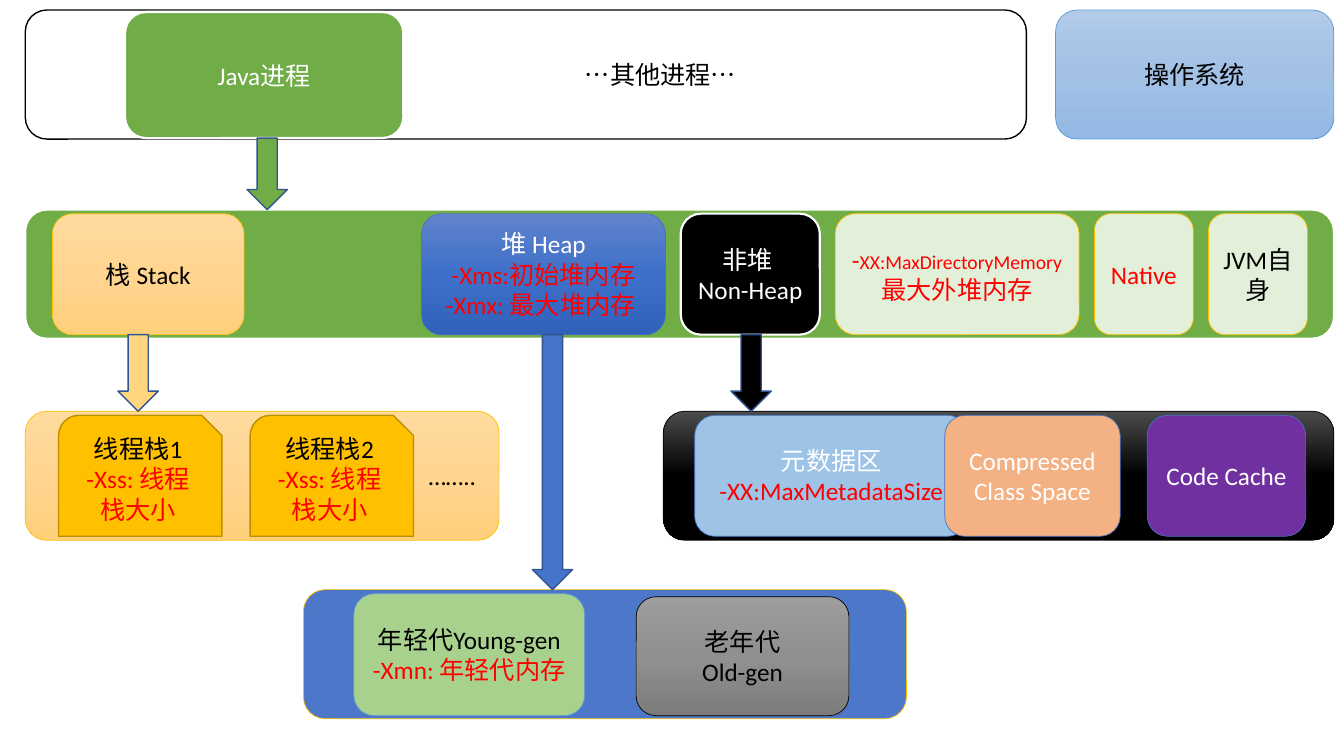
from copy import deepcopy
from dataclasses import dataclass

from pptx import Presentation
from pptx.dml.color import RGBColor
from pptx.enum.lang import MSO_LANGUAGE_ID
from pptx.enum.shapes import MSO_SHAPE
from pptx.enum.text import MSO_ANCHOR, PP_ALIGN
from pptx.oxml.ns import qn
from pptx.util import Inches, Pt

ROUNDED = MSO_SHAPE.ROUNDED_RECTANGLE
SNIPPED = MSO_SHAPE.SNIP_ROUND_RECTANGLE
DOWN_ARROW = MSO_SHAPE.DOWN_ARROW
CENTER = PP_ALIGN.CENTER
MIDDLE = MSO_ANCHOR.MIDDLE
CHINESE = MSO_LANGUAGE_ID.SIMPLIFIED_CHINESE


class Theme:
    font = "Calibri"
    body, small = 18, 14
    hairline, thin, medium = 0.5, 1, 1.5
    black, white, red = "000000", "FFFFFF", "FF0000"
    green, pale_green, young_green = "70AD47", "E2F0D9", "A9D18E"
    amber, dark_amber = "FFC000", "BD8E00"
    blue, sky, light_blue = "4472C4", "5B9BD5", "9DC3E6"
    heap_area, heap_arrow, arrow_edge = "4D78CA", "4674CA", "325491"
    stack_arrow, peach, purple = "FFD580", "F4B183", "7030A0"
    # Three stops run from top to bottom.
    system_shade = ("B1CBE9", "A3C1E5", "93B9E4")
    stack_shade = ("FFDB9E", "FFD590", "FFD07C")
    heap_shade = ("6183CB", "3E70CA", "3062BB")
    old_shade = ("9D9D9D", "909090", "7C7C7C")
    metaspace_shade = ("4B4B4B", "000000", "000000")


@dataclass
class Box:
    """A rectangle in inches."""
    left: float
    top: float
    width: float
    height: float

    @property
    def bottom(self):
        return self.top + self.height

    def inner(self, left, width, top=3.13, height=93.75):
        """Return an inner box given in percent of this one."""
        return Box(self.left + self.width * left / 100,
                   self.top + self.height * top / 100,
                   self.width * width / 100, self.height * height / 100)


SLIDE = Box(0, 0, 13.33, 7.5)
BAND_HEIGHT = 17.07
ARROW_WIDTH = 3


def band(left, width, top):
    return SLIDE.inner(left, width, top, BAND_HEIGHT)


def paint(shape, fill):
    """Fill with one colour, with three shades, or not at all."""
    if fill is None:
        shape.fill.background()
    elif isinstance(fill, str):
        shape.fill.solid()
        shape.fill.fore_color.rgb = RGBColor.from_string(fill)
    else:
        shape.fill.gradient()
        shape.fill.gradient_angle = 270
        stop_list = shape._element.spPr.find(qn("a:gradFill")).find(qn("a:gsLst"))
        stop_list.insert(1, deepcopy(stop_list[0]))
        for index, (stop, shade) in enumerate(zip(shape.fill.gradient_stops, fill)):
            stop.position = index / 2
            stop.color.rgb = RGBColor.from_string(shade)


def block(slide, box, fill, edge, weight=Theme.hairline, outline=ROUNDED):
    shape = slide.shapes.add_shape(outline, Inches(box.left), Inches(box.top),
                                   Inches(box.width), Inches(box.height))
    shape.shadow.inherit = False
    paint(shape, fill)
    shape.line.color.rgb = RGBColor.from_string(edge)
    shape.line.width = Pt(weight)
    return shape


def write(shape, text, color=Theme.black, size=Theme.body, same_line=False, indent=0):
    """Add a line, or a run on the last line; indent is percent of the slide width."""
    frame = shape.text_frame
    frame.word_wrap = True
    frame.vertical_anchor = MIDDLE
    if indent:
        frame.margin_left = Inches(SLIDE.width * indent / 100)
    line = frame.paragraphs[-1]
    if line.runs and not same_line:
        line = frame.add_paragraph()
    line.alignment = CENTER
    run = line.add_run()
    run.text = text
    run.font.name = Theme.font
    run.font.size = Pt(size)
    run.font.language_id = CHINESE
    run.font.color.rgb = RGBColor.from_string(color)


def system_row(slide, processes, system):
    """Draw the operating system row and return the box of the Java process."""
    others = block(slide, processes, None, Theme.black, Theme.thin)
    write(others, "…其他进程…", indent=20.78)
    write(block(slide, system, Theme.system_shade, Theme.sky), "操作系统")
    java_box = processes.inner(9.97, 27.79, 1.56, 97.66)
    java = block(slide, java_box, Theme.green, Theme.white, Theme.medium)
    write(java, "Java进程", Theme.white)
    return java_box


def process_memory(slide, area):
    """Draw the memory of the Java process and return the box of its stack."""
    block(slide, area, Theme.green, Theme.white, Theme.medium)
    stack_box = area.inner(2.08, 14.64)
    write(block(slide, stack_box, Theme.stack_shade, Theme.amber), "栈 Stack")

    amber_edge = (Theme.pale_green, Theme.amber, Theme.hairline)
    row = ((18.64, (Theme.heap_shade, Theme.blue, Theme.hairline)),
           (10.63, (Theme.black, Theme.white, Theme.medium)),
           (18.64, amber_edge), (7.55, amber_edge), (7.55, amber_edge))
    left, gap, blocks = 30.28, 1.17, []
    for width, style in row:
        blocks.append(block(slide, area.inner(left, width), *style))
        left += width + gap
    heap, non_heap, direct, native, own = blocks

    write(heap, "堆 Heap", Theme.white)
    write(heap, "-Xms:初始堆内存", Theme.red)
    write(heap, "-Xmx: 最大堆内存 ", Theme.red)
    write(non_heap, "非堆 ", Theme.white)
    write(non_heap, "Non-Heap", Theme.white)
    write(direct, "-", Theme.red)
    write(direct, "XX:MaxDirectoryMemory ", Theme.red, Theme.small, same_line=True)
    write(direct, "最大外堆内存", Theme.red)
    write(native, "Native", Theme.red)
    write(own, "JVM自身")
    return stack_box


def thread_stacks(slide, area):
    rest = block(slide, area, Theme.stack_shade, Theme.amber)
    write(rest, "……..", indent=29.03)
    for index in range(2):
        thread = block(slide, area.inner(7.02 + 40.43 * index, 34.47), Theme.amber,
                       Theme.dark_amber, Theme.thin, SNIPPED)
        write(thread, f"线程栈{index + 1}")
        write(thread, "-Xss: 线程栈大小", Theme.red)


def heap_generations(slide, area):
    block(slide, area, Theme.heap_area, Theme.amber)
    young = block(slide, area.inner(8.36, 38.29, height=94.5), Theme.young_green, Theme.sky)
    write(young, "年轻代Young-gen")
    write(young, "-Xmn: 年轻代内存", Theme.red)
    old = block(slide, area.inner(55.18, 35.28, 5.47, 92.19), Theme.old_shade, Theme.black)
    write(old, "老年代")
    write(old, "Old-gen")


def non_heap_areas(slide, area):
    block(slide, area, Theme.metaspace_shade, Theme.black)
    metadata = block(slide, area.inner(4.66, 40.75), Theme.light_blue, Theme.blue)
    write(metadata, "元数据区", Theme.white)
    write(metadata, "-XX:MaxMetadataSize", Theme.red)
    class_space = block(slide, area.inner(41.95, 26.17), Theme.peach, Theme.blue)
    write(class_space, "Compressed Class Space", Theme.white)
    code_cache = block(slide, area.inner(72.18, 23.61), Theme.purple, Theme.blue)
    write(code_cache, "Code Cache", Theme.white)


def drop_arrow(slide, center, source, target, fill):
    """Point from the bottom of source to the top of target."""
    column = SLIDE.inner(center - ARROW_WIDTH / 2, ARROW_WIDTH)
    box = Box(column.left, source.bottom, column.width, target.top - source.bottom)
    block(slide, box, fill, Theme.arrow_edge, Theme.thin, DOWN_ARROW)


def main():
    deck = Presentation()
    deck.slide_width, deck.slide_height = Inches(SLIDE.width), Inches(SLIDE.height)
    slide = deck.slides.add_slide(deck.slide_layouts[6])

    memory = band(1.88, 97.37, 27.73)
    threads = band(1.88, 35.26, 54.4)
    non_heap = band(49.36, 49.89, 54.4)
    generations = band(22.58, 44.86, 78)

    java = system_row(slide, band(1.88, 74.49, 1.33), band(78.54, 20.71, 1.33))
    stack = process_memory(slide, memory)
    thread_stacks(slide, threads)
    heap_generations(slide, generations)
    non_heap_areas(slide, non_heap)

    # All blocks of the memory row end level with the stack.
    drop_arrow(slide, 19.88, java, memory, Theme.green)
    drop_arrow(slide, 41.11, stack, generations, Theme.heap_arrow)
    drop_arrow(slide, 55.89, stack, non_heap, Theme.black)
    drop_arrow(slide, 10.28, stack, threads, Theme.stack_arrow)
    deck.save("out.pptx")


if __name__ == "__main__":
    main()
